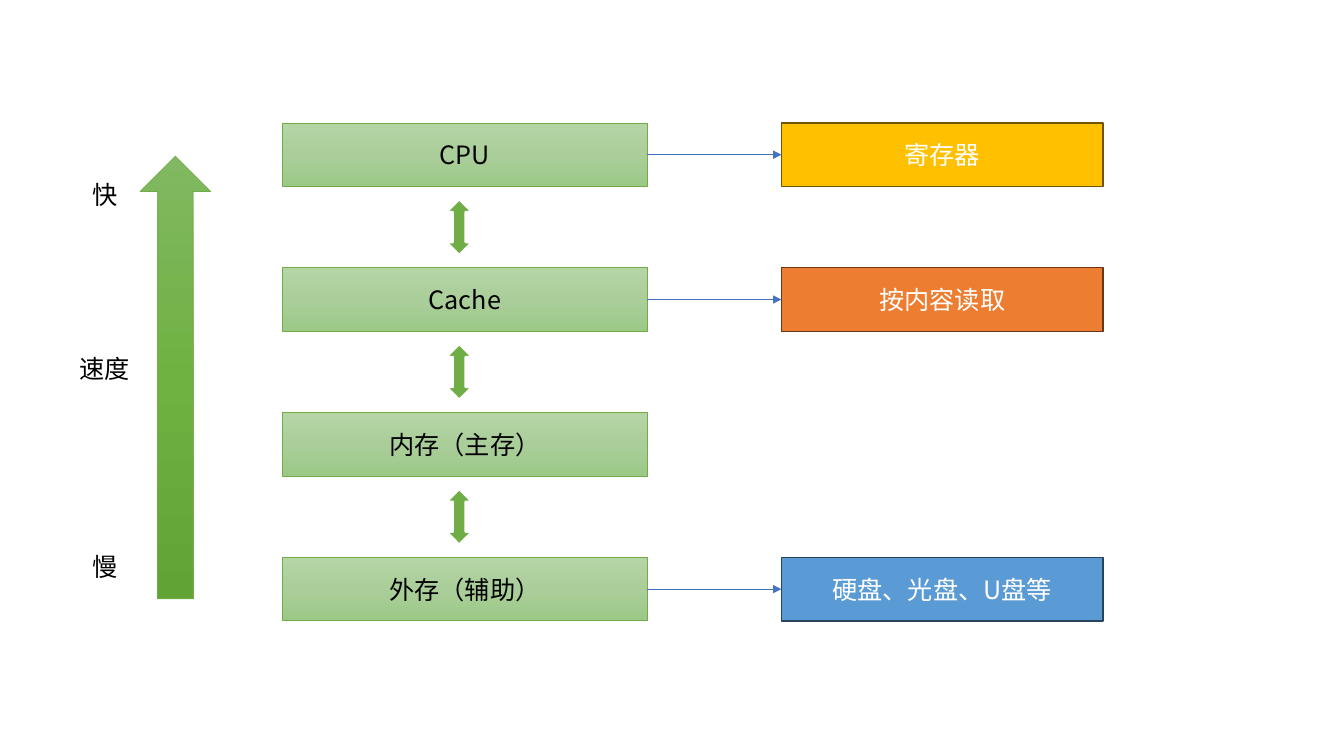
from copy import deepcopy
from dataclasses import dataclass

from lxml.etree import SubElement
from pptx import Presentation
from pptx.dml.color import RGBColor
from pptx.enum.shapes import MSO_CONNECTOR as Connector, MSO_SHAPE as Preset
from pptx.enum.text import MSO_ANCHOR as Anchor, MSO_AUTO_SIZE as AutoSize, PP_ALIGN as Align
from pptx.oxml.ns import qn
from pptx.util import Inches, Pt

LEVELS = [
    ("CPU", ("寄存器", "FFC000", "705400")),
    ("Cache", ("按内容读取", "ED7D31", "683715")),
    ("内存（主存）", None),
    ("外存（辅助）", ("硬盘、光盘、U盘等", "5B9BD5", "28445D")),
]
SPEED_LABELS = [("速度", 0.69, 3.46, 0.71), ("快", 0.82, 1.73, 0.45), ("慢", 0.82, 5.42, 0.45)]

LEVEL_LEFT, LEVEL_WIDTH = 2.8, 3.62
DETAIL_LEFT, DETAIL_WIDTH = 7.75, 3.19
FIRST_TOP, LAST_TOP, BOX_HEIGHT = 1.22, 5.53, 0.63
LINK_LEFT, LINK_WIDTH, LINK_HEIGHT = 4.43, 0.25, 0.55
LABEL_HEIGHT = 0.4
RIGHT_SITE, LEFT_SITE = 3, 1


@dataclass(frozen=True)
class Theme:
    font: str = "Noto Sans CJK SC"
    size: int = 18
    dark: str = "000000"
    light: str = "FFFFFF"
    green: str = "70AD47"
    connector: str = "4472C4"
    speed_gradient: tuple = ("81B861", "6FB242", "62A336")
    level_gradient: tuple = ("B5D5A7", "AACE9A", "9CC987")
    thin: float = 0.5
    medium: float = 1
    thick: float = 1.5


THEME = Theme()


def color(value):
    return RGBColor.from_string(value)


def write(shape, text, *, ink=THEME.dark, align=Align.CENTER, anchor=Anchor.MIDDLE, wrap=True):
    frame = shape.text_frame
    frame.word_wrap = wrap
    frame.vertical_anchor = anchor
    paragraph = frame.paragraphs[0]
    paragraph.alignment = align
    run = paragraph.add_run()
    run.text = text
    run.font.size = Pt(THEME.size)
    run.font.name = THEME.font
    run.font.color.rgb = color(ink)
    SubElement(run.font._element, qn("a:ea"), typeface=THEME.font)


def fill_gradient(shape, colors):
    shape.fill.gradient()
    shape.fill.gradient_angle = 270
    first = shape._element.spPr.find(qn("a:gradFill")).find(qn("a:gsLst"))[0]
    first.addnext(deepcopy(first))
    for stop, value, position in zip(shape.fill.gradient_stops, colors, (0, 0.5, 1)):
        stop.color.rgb = color(value)
        stop.position = position


def add_figure(slide, preset, box, fill, line, width):
    shape = slide.shapes.add_shape(preset, *map(Inches, box))
    shape.shadow.inherit = False
    if isinstance(fill, tuple):
        fill_gradient(shape, fill)
    else:
        shape.fill.solid()
        shape.fill.fore_color.rgb = color(fill)
    shape.line.color.rgb = color(line)
    shape.line.width = Pt(width)
    return shape


def add_label(slide, text, left, top, width):
    label = slide.shapes.add_textbox(*map(Inches, (left, top, width, LABEL_HEIGHT)))
    write(label, text, align=Align.LEFT, anchor=Anchor.TOP, wrap=False)
    label.text_frame.auto_size = AutoSize.SHAPE_TO_FIT_TEXT


def connect(slide, level, detail):
    arrow = slide.shapes.add_connector(Connector.STRAIGHT, 0, 0, 0, 0)
    arrow.begin_connect(level, RIGHT_SITE)
    arrow.end_connect(detail, LEFT_SITE)
    arrow.line.color.rgb = color(THEME.connector)
    arrow.line.width = Pt(THEME.thin)
    SubElement(arrow.line._get_or_add_ln(), qn("a:tailEnd"), type="triangle")
    SubElement(arrow._element.spPr, qn("a:effectLst"))


def add_hierarchy(slide):
    step = (LAST_TOP - FIRST_TOP) / (len(LEVELS) - 1)
    link_offset = (step + BOX_HEIGHT - LINK_HEIGHT) / 2
    for index, (name, detail) in enumerate(LEVELS):
        top = FIRST_TOP + index * step
        level = add_figure(slide, Preset.RECTANGLE, (LEVEL_LEFT, top, LEVEL_WIDTH, BOX_HEIGHT),
                           THEME.level_gradient, THEME.green, THEME.thin)
        write(level, name)
        if index < len(LEVELS) - 1:
            add_figure(slide, Preset.UP_DOWN_ARROW,
                       (LINK_LEFT, top + link_offset, LINK_WIDTH, LINK_HEIGHT),
                       THEME.green, THEME.light, THEME.thick)
        if detail:
            text, fill, line = detail
            box = add_figure(slide, Preset.RECTANGLE, (DETAIL_LEFT, top, DETAIL_WIDTH, BOX_HEIGHT),
                             fill, line, THEME.medium)
            write(box, text, ink=THEME.light)
            connect(slide, level, box)


def main():
    """Build the storage hierarchy slide."""
    presentation = Presentation()
    presentation.slide_width, presentation.slide_height = Inches(13.33), Inches(7.5)
    slide = presentation.slides.add_slide(presentation.slide_layouts[6])
    add_figure(slide, Preset.UP_ARROW, (1.39, 1.55, 0.7, 4.39),
               THEME.speed_gradient, THEME.green, THEME.thin)
    for label in SPEED_LABELS:
        add_label(slide, *label)
    add_hierarchy(slide)
    presentation.save("out.pptx")


if __name__ == "__main__":
    main()
